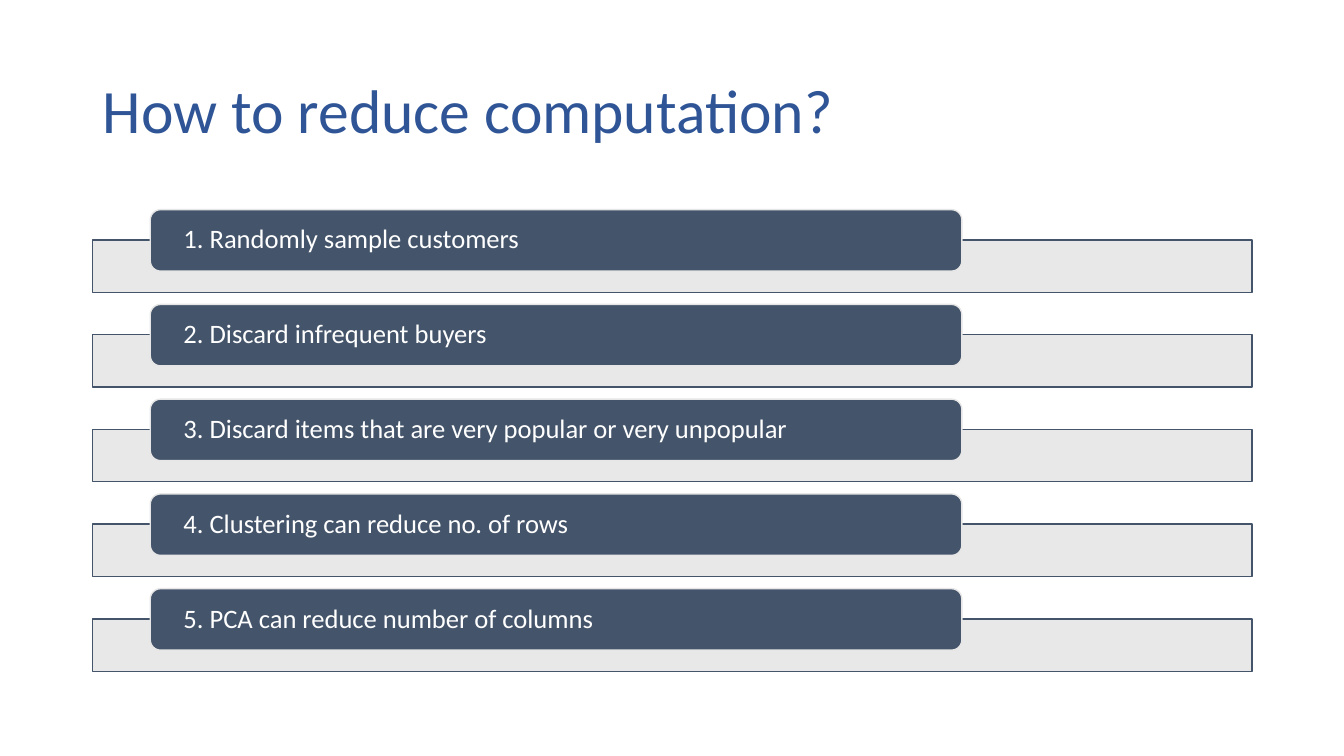
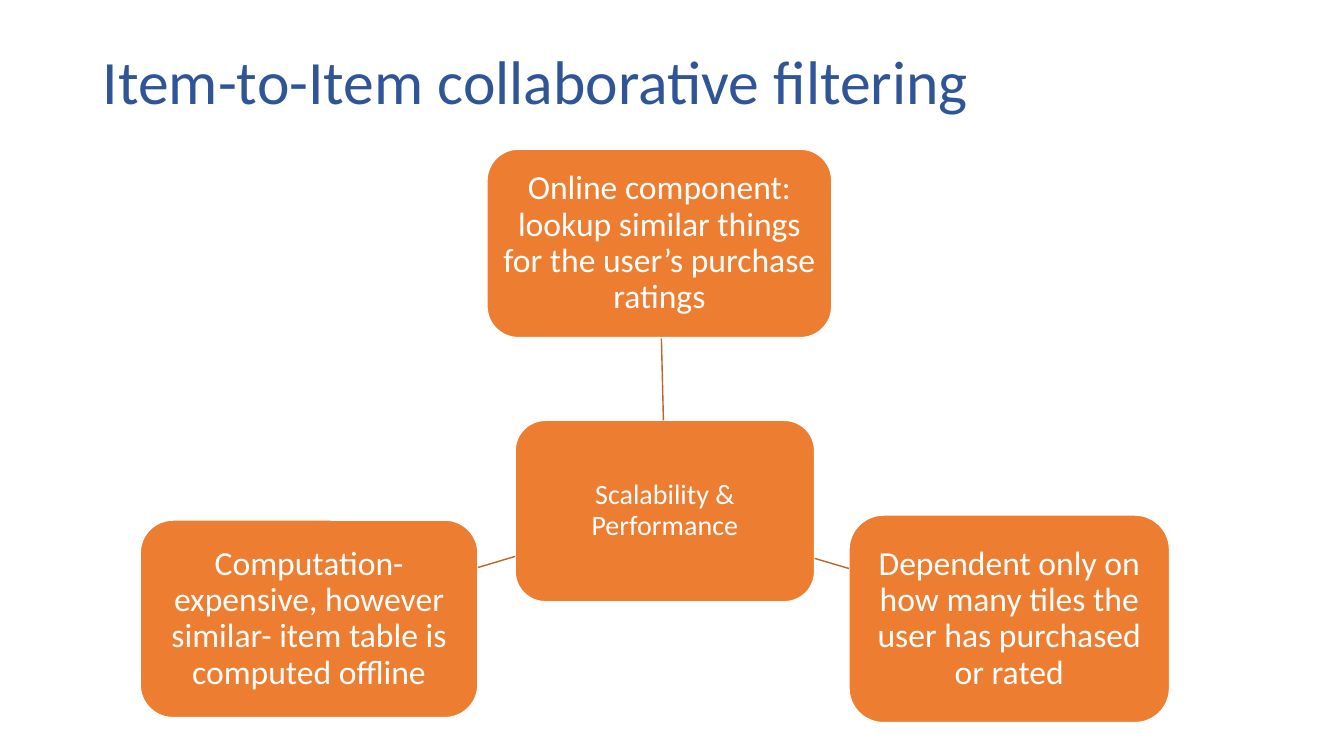
"""Build two slides: ways to reduce computation, and item-to-item filtering."""
from dataclasses import dataclass

from lxml import etree
from pptx import Presentation
from pptx.dml.color import RGBColor
from pptx.enum import shapes, text
from pptx.oxml import ns
from pptx.util import Inches, Pt


@dataclass(frozen=True)
class Theme:
    font: str = "Calibri"
    title: str = "2F5597"
    slate: str = "44546A"
    pale: str = "E7E6E6"
    orange: str = "ED7D31"
    rust: str = "BE6427"
    white: str = "FFFFFF"
    head: int = 44
    step: int = 19
    hub: int = 20
    node: int = 24


def write(frame, words, size, color, align, side, edge):
    form = {
        "word_wrap": True,
        "auto_size": text.MSO_AUTO_SIZE.NONE,
        "vertical_anchor": text.MSO_ANCHOR.MIDDLE,
        "margin_left": Inches(side),
        "margin_right": Inches(side),
        "margin_top": Inches(edge),
        "margin_bottom": Inches(edge),
    }
    for key, value in form.items():
        setattr(frame, key, value)
    frame.text = words
    para = frame.paragraphs[0]
    para.alignment = align
    para.line_spacing = 0.9
    face = {"name": theme.font, "size": Pt(size)}
    for key, value in face.items():
        setattr(para.runs[0].font, key, value)
    para.runs[0].font.color.rgb = RGBColor.from_string(color)


def block(slide, kind, box, fill, line):
    shape = slide.shapes.add_shape(kind, *map(Inches, box))
    shape.shadow.inherit = False
    shape.fill.solid()
    shape.fill.fore_color.rgb = RGBColor.from_string(fill)
    shape.line.color.rgb = RGBColor.from_string(line)
    shape.line.width = Pt(1)
    return shape


theme = Theme()
kinds = shapes.MSO_SHAPE
left, center = text.PP_ALIGN.LEFT, text.PP_ALIGN.CENTER

deck = Presentation()
deck.slide_width = Inches(13.33)
deck.slide_height = Inches(7.5)

heads = [
    ("How to reduce computation?", 1.45),
    ("Item-to-Item collaborative filtering", 0.87),
]
pages = []
for words, high in heads:
    page = deck.slides.add_slide(deck.slide_layouts[5])
    place = {"left": 0.92, "top": 0.4, "width": 11.5, "height": high}
    for key, value in place.items():
        setattr(page.shapes.title, key, Inches(value))
    write(page.shapes.title.text_frame, words, theme.head, theme.title,
          left, 0.1, 0.05)
    pages.append(page)
steps, web = pages

tips = [
    "Randomly sample customers",
    "Discard infrequent buyers",
    "Discard items that are very popular or very unpopular",
    "Clustering can reduce no. of rows",
    "PCA can reduce number of columns",
]
for row, tip in enumerate(tips):
    top = 2.08 + 0.94 * row
    band = block(steps, kinds.RECTANGLE, (0.92, top + 0.3, 11.5, 0.52),
                 theme.pale, theme.slate)
    tint = band.fill.fore_color._xFill.find(ns.qn("a:srgbClr"))
    etree.SubElement(tint, ns.qn("a:alpha"), val="90000")
    bar = block(steps, kinds.ROUNDED_RECTANGLE, (1.49, top, 8.05, 0.61),
                theme.slate, theme.pale)
    write(bar.text_frame, f"{row + 1}. {tip}", theme.step, theme.white,
          left, 0.3, 0)

nodes = [
    ("Scalability & Performance", theme.hub, (5.11, 4.17, 2.97, 1.8)),
    ("Online component: lookup similar things for the user’s purchase ratings",
     theme.node, (4.83, 1.48, 3.42, 1.87)),
    ("Dependent only on how many tiles the user has purchased or rated",
     theme.node, (8.42, 5.11, 3.18, 2.06)),
    ("Computation-expensive, however similar- item table is computed offline",
     theme.node, (1.39, 5.16, 3.35, 1.96)),
]
for words, size, box in nodes:
    node = block(web, kinds.ROUNDED_RECTANGLE, box, theme.orange, theme.white)
    write(node.text_frame, words, size, theme.white, center, 0.07, 0.07)

links = [
    (6.58, 4.17, 6.56, 3.36),
    (8.08, 5.54, 8.42, 5.64),
    (5.11, 5.52, 4.74, 5.63),
]
for ends in links:
    link = web.shapes.add_connector(shapes.MSO_CONNECTOR.STRAIGHT,
                                    *map(Inches, ends))
    link.line.color.rgb = RGBColor.from_string(theme.rust)
    link.line.width = Pt(1)
    etree.SubElement(link._element.spPr, ns.qn("a:effectLst"))

deck.save("out.pptx")
